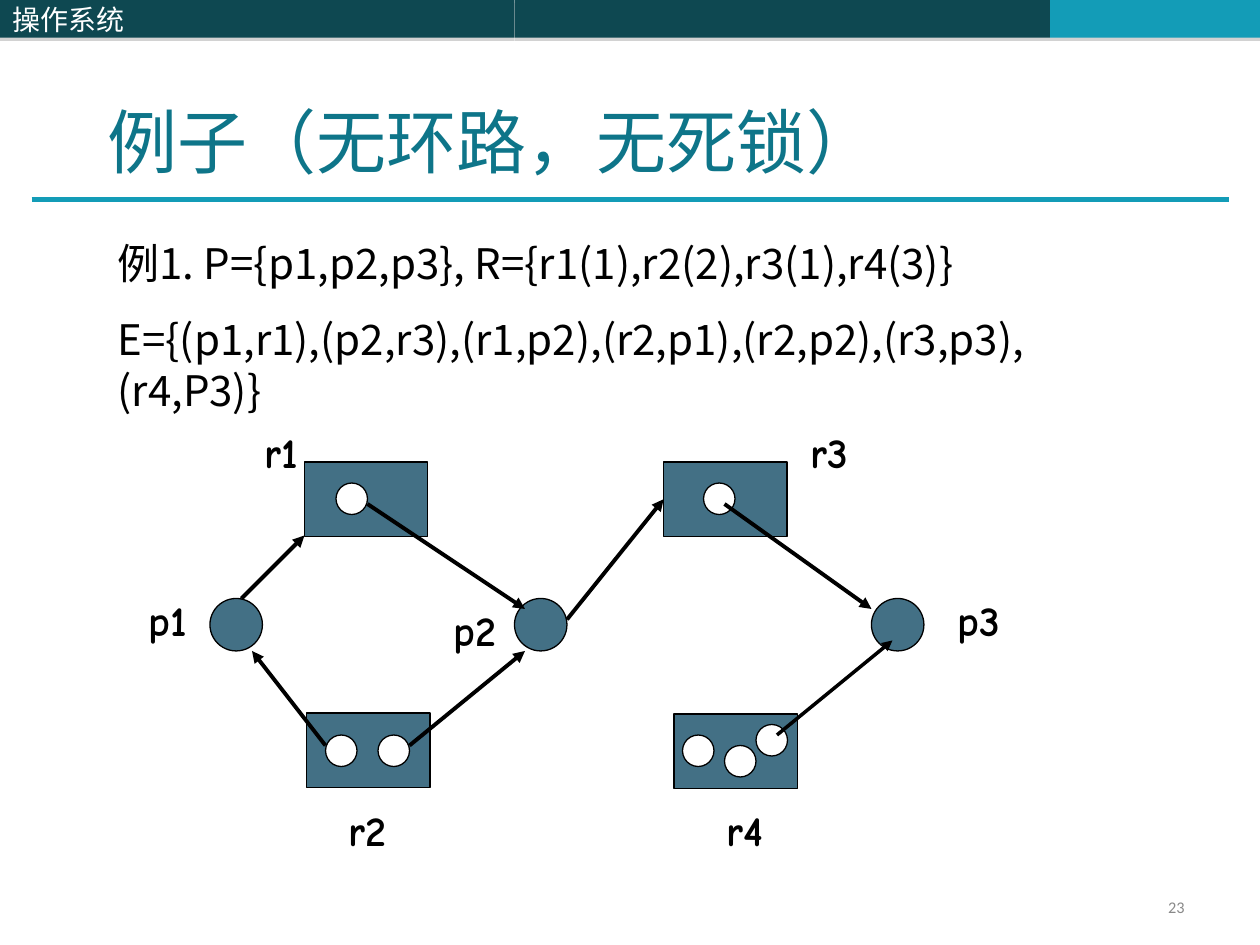
from pptx import Presentation, util as u
from pptx.dml.color import RGBColor
from pptx.enum import shapes, text
from pptx.oxml import parse_xml
from pptx.oxml.ns import nsdecls, qn

# Content
HEAD, PAGE = "操作系统", "23"
TITLE = "例子（无环路，无死锁）"
BODY = ["例1. P={p1,p2,p3}, R={r1(1),r2(2),r3(1),r4(3)}",
        "E={(p1,r1),(p2,r3),(r1,p2),(r2,p1),(r2,p2),(r3,p3), (r4,P3)}"]

# Graph, in grid units: a node, its label and the units held by a resource
RES = {
    "r1": dict(at=(29, 44), label=(24, 40), units=[(32, 46)]),
    "r3": dict(at=(63.2, 44), label=(76, 40), units=[(67, 46)]),
    "r2": dict(at=(29.2, 67.9), label=(32, 76), units=[(31, 70), (36, 70)]),
    "r4": dict(at=(64.2, 68), label=(68, 76),
               units=[(65, 70), (69, 71), (72, 69)]),
}
PROCS = {
    "p1": dict(at=(20, 57), label=(13, 56)),
    "p2": dict(at=(49, 57), label=(42, 57)),
    "p3": dict(at=(83, 57), label=(90, 56)),
}
EDGES = [  # start, end, width
    ((35, 48), (50, 58), 2.25),   # r1 to p2
    ((39, 71), (50, 62), 2.25),   # r2 to p2
    ((69, 48), (83, 58), 2.25),   # r3 to p3
    ((31, 71), (24, 62), 2.25),   # r2 to p1
    ((23, 57), (29, 51), 2.25),   # p1 to r1
    ((54, 59), "r3", 2.25),       # p2 to r3
    ((74, 70), (85, 61), 2),      # r4 to p3
]
BOX, UNIT, PROC, LABEL = (11.75, 7.1), (3, 3), (5, 5), (8, 6)


class Theme:
    dark, teal, head = "0E4851", "139CB7", "0E7589"
    node, ink, paper, gray = "437085", "000000", "FFFFFF", "898989"
    cjk, hand, num = "Noto Sans CJK SC", "Comic Neue", "Calibri"
    title, body, bar, page = 40, 24, 16, 9.3


# The slide is 120 grid units wide and 90 high
deck = Presentation()
deck.slide_width, deck.slide_height = u.Inches(10), u.Inches(7.5)
slide = deck.slides.add_slide(deck.slide_layouts[1])


def grid(*vals):
    return [round(v * deck.slide_width / 120) for v in vals]


def place(item, at, size):
    item.left, item.top, item.width, item.height = grid(*at, *size)


def write(item, lines, size, face, color, bold=False, gap=0,
          align=text.PP_ALIGN.LEFT, anchor=text.MSO_ANCHOR.TOP):
    frame = item.text_frame
    frame.word_wrap = True
    frame.auto_size = text.MSO_AUTO_SIZE.NONE
    frame.vertical_anchor = anchor
    frame.text = "\n".join(lines)
    for i, para in enumerate(frame.paragraphs):
        para.alignment = align
        para.space_before = u.Pt(gap if i else 0)
        for run in para.runs:
            font = run.font
            font.size, font.name, font.bold = u.Pt(size), face, bold
            font.color.rgb = RGBColor.from_string(color)
            font._element.append(parse_xml(
                f'<a:ea {nsdecls("a")} typeface="{face}"/>'))
    return frame


def shape(kind, at, size, fill, line=None):
    item = slide.shapes.add_shape(kind, *grid(*at, *size))
    item.shadow.inherit = False
    item.fill.solid()
    item.fill.fore_color.rgb = RGBColor.from_string(fill)
    if line:
        item.line.color.rgb = RGBColor.from_string(line)
        item.line.width = u.Pt(0.75)
    else:
        item.line.fill.background()
    return item


def link(start, end, color, width, arrow=False):
    item = slide.shapes.add_connector(
        shapes.MSO_CONNECTOR.STRAIGHT, *grid(*start, *end))
    item.line.color.rgb = RGBColor.from_string(color)
    item.line.width = u.Pt(width)
    if arrow:
        item.line._get_or_add_ln().append(parse_xml(
            f'<a:tailEnd {nsdecls("a")} type="triangle"/>'))
    item._element.spPr.append(parse_xml(f'<a:effectLst {nsdecls("a")}/>'))
    return item


RECT, OVAL = shapes.MSO_SHAPE.RECTANGLE, shapes.MSO_SHAPE.OVAL
MID = text.MSO_ANCHOR.MIDDLE

# Header band and title rule
bars = [shape(RECT, (x, 0), (w, 3.6), fill) for x, w, fill in
        [(49, 51, Theme.dark), (100, 20, Theme.teal), (0, 49, Theme.dark)]]
for bar in bars:
    bar._element.spPr.find(qn("a:effectLst")).append(parse_xml(
        f'<a:outerShdw {nsdecls("a")} blurRad="0" dist="{u.Pt(1.8)}" '
        'dir="5400000" rotWithShape="0"><a:srgbClr val="808080">'
        '<a:alpha val="35000"/></a:srgbClr></a:outerShdw>'))
write(bars[-1], [HEAD], Theme.bar, Theme.cjk, Theme.paper, anchor=MID)
link((3, 19), (117, 19), Theme.teal, 3)

# Title, body and page number
title, body = slide.placeholders
place(title, (9, 3), (102, 15))
write(title, [TITLE], Theme.title, Theme.cjk, Theme.head,
      anchor=text.MSO_ANCHOR.BOTTOM)
place(body, (10, 22), (101, 23))
for para in write(body, BODY, Theme.body, Theme.cjk, Theme.ink,
                  gap=15).paragraphs:
    props = para._p.get_or_add_pPr()
    props.set("marL", "0")
    props.set("indent", "0")
    props.append(parse_xml(f'<a:buNone {nsdecls("a")}/>'))
page = slide.shapes.add_textbox(*grid(86, 85, 28, 3.2))
write(page, [PAGE], Theme.page, Theme.num, Theme.gray,
      align=text.PP_ALIGN.RIGHT, anchor=MID).paragraphs[0].line_spacing = 0.8

# Resources, processes and their labels
boxes = {}
for name, res in RES.items():
    boxes[name] = shape(RECT, res["at"], BOX, Theme.node, Theme.ink)
    for spot in res["units"]:
        shape(OVAL, spot, UNIT, Theme.paper, Theme.ink)
for proc in PROCS.values():
    shape(OVAL, proc["at"], PROC, Theme.node, Theme.ink)
for name, node in {**PROCS, **RES}.items():
    tag = slide.shapes.add_textbox(*grid(*node["label"], *LABEL))
    write(tag, [name], Theme.body, Theme.hand, Theme.ink, bold=True)

# Request and allocation arrows
for start, end, width in EDGES:
    goal = boxes.get(end) if isinstance(end, str) else None
    edge = link(start, RES[end]["at"] if goal else end,
                Theme.ink, width, arrow=True)
    if goal:
        edge.end_connect(goal, 1)

deck.save("out.pptx")
